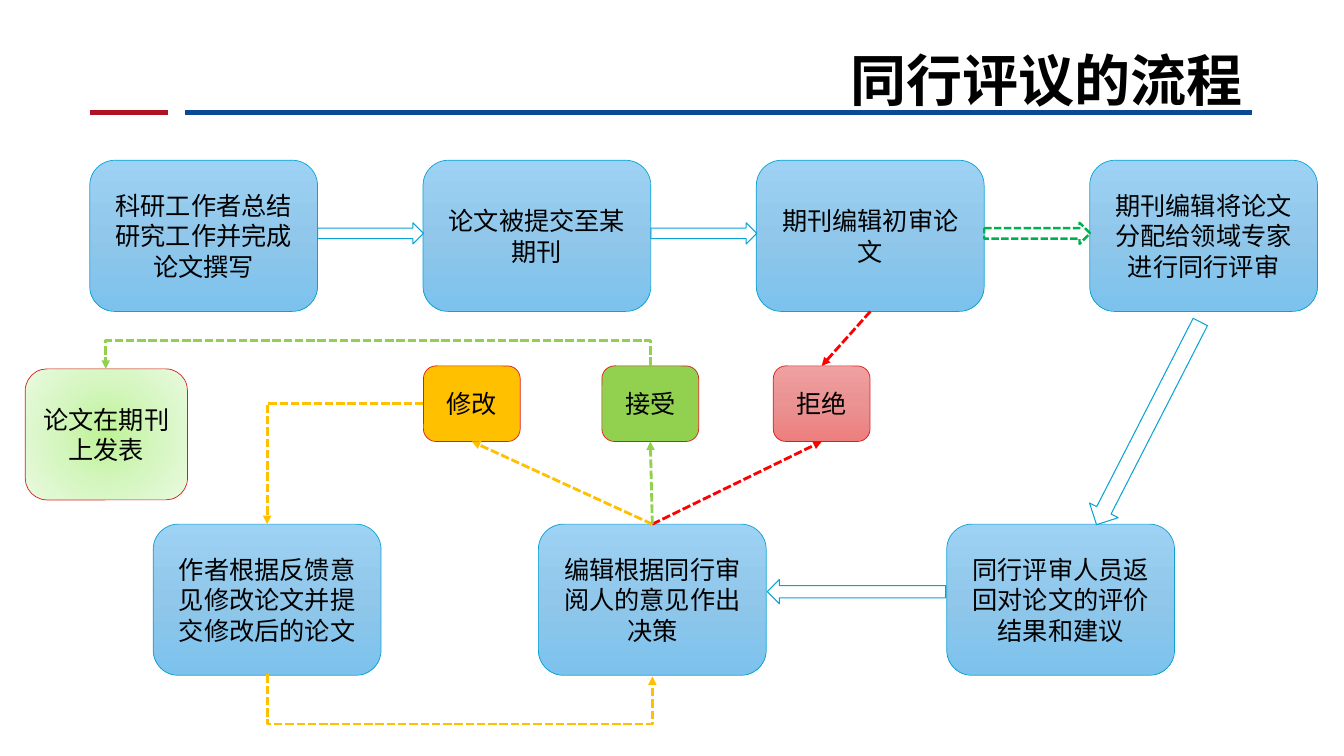
from lxml.etree import SubElement
from pptx import Presentation
from pptx.dml.color import RGBColor
from pptx.enum.dml import MSO_LINE
from pptx.enum.shapes import MSO_CONNECTOR, MSO_SHAPE
from pptx.enum.text import MSO_ANCHOR, PP_ALIGN
from pptx.oxml.ns import qn
from pptx.util import Inches, Pt

# Content
TITLE = "同行评议的流程"
BLUE = ("9DD2F4", "90C7EA", "7CC2ED")
PINK = ("EFA0A0", "EB9292", "ED7E7E")
PALE_GREEN = ("BEF297", "D5F6C0", "EAFAE0")
CYAN, RED, GREEN, AMBER = "0AA3D4", "FF0000", "92D050", "FFC000"
BORDER_RED = "DB1F1F"
STEP_W, STEP_H, STEP_GAP = 2.26, 1.5, 1.046
TOP_Y, DECISION_Y, BOTTOM_Y = 1.59, 3.63, 5.2
LEFT = 0.89

TOP_STEPS = [
    ("write", "科研工作者总结研究工作并完成论文撰写"),
    ("submit", "论文被提交至某期刊"),
    ("screen", "期刊编辑初审论文"),
    ("assign", "期刊编辑将论文分配给领域专家进行同行评审"),
]
BOTTOM_STEPS = [
    ("revise", 1.52, "作者根据反馈意见修改论文并提交修改后的论文"),
    ("decide", 5.34, "编辑根据同行审阅人的意见作出决策"),
    ("review", 9.39, "同行评审人员返回对论文的评价结果和建议"),
]
DECISIONS = [
    ("modify", 4.2, "修改", AMBER),
    ("accept", 5.97, "接受", GREEN),
    ("reject", 7.67, "拒绝", PINK),
]
RULES = [(0.89, 1.67, "AE1324"), (1.84, 12.42, "0C4994")]
# left, top, width, height, rotation, colour, line width, dash
BLOCK_ARROWS = [
    (LEFT + STEP_W + i * (STEP_W + STEP_GAP), 2.21, 1.05, 0.21, 0, *style)
    for i, style in enumerate([(CYAN, 0.75, None), (CYAN, 0.75, None),
                               ("00B050", 1.75, MSO_LINE.SQUARE_DOT)])
] + [
    (10.26, 4.04, 2.26, 0.32, 117.1, CYAN, 0.75, None),
    (7.61, 5.75, 1.77, 0.24, 180, CYAN, 0.75, None),
]
# from, side, to, side, colour (sides: 0 top, 2 bottom)
STRAIGHT = [
    ("screen", 2, "reject", 0, RED),
    ("decide", 0, "reject", 2, RED),
    ("decide", 0, "modify", 2, AMBER),
    ("decide", 0, "accept", 2, GREEN),
]
# start, end, height of the level run, colour
U_TURNS = [
    ((2.65, 6.69), (6.47, 6.71), 7.18, AMBER),
    ((6.45, 3.63), (1.05, 3.66), 3.38, GREEN),
]
CORNER = ((4.2, 4.0), (2.65, 5.2), AMBER)

prs = Presentation()
prs.slide_width, prs.slide_height = Inches(13.33), Inches(7.5)
s = prs.slides.add_slide(prs.slide_layouts[6])


def rgb(value):
    return RGBColor.from_string(value)


def set_line(sp, color, width, dash=None):
    sp.line.color.rgb = rgb(color)
    sp.line.width = Pt(width)
    if dash:
        sp.line.dash_style = dash


def set_gradient(sp, colors, circle):
    sp.fill.gradient()
    grad = sp.element.spPr.find(qn("a:gradFill"))
    for child in list(grad):
        grad.remove(child)
    stops = SubElement(grad, qn("a:gsLst"))
    for i, color in enumerate(colors):
        stop = SubElement(stops, qn("a:gs"), pos=str(i * 50000))
        SubElement(stop, qn("a:srgbClr"), val=color)
    if circle:
        shade = SubElement(grad, qn("a:path"), {"path": "circle"})
        SubElement(shade, qn("a:fillToRect"), {k: "50000" for k in "ltrb"})
    else:
        SubElement(grad, qn("a:lin"), ang="5400000", scaled="0")


def write(sp, text, align, anchor, **font):
    tf = sp.text_frame
    tf.word_wrap, tf.vertical_anchor = True, anchor
    p = tf.paragraphs[0]
    p.alignment = align
    r = p.add_run()
    r.text = text
    for name, value in font.items():
        setattr(r.font, name, value)
    r.font.color.rgb = rgb("000000")


def add_box(x, y, w, h, text, fill, border, circle=False):
    sp = s.shapes.add_shape(MSO_SHAPE.ROUNDED_RECTANGLE, *map(Inches, (x, y, w, h)))
    sp.shadow.inherit = False
    if isinstance(fill, str):
        sp.fill.solid()
        sp.fill.fore_color.rgb = rgb(fill)
    else:
        set_gradient(sp, fill, circle)
    set_line(sp, border, 0.5)
    write(sp, text, PP_ALIGN.CENTER, MSO_ANCHOR.MIDDLE, size=Pt(18), name="Arial")
    return sp


def add_line(kind, start, end, color, width, arrow=True):
    c = s.shapes.add_connector(kind, *map(Inches, (*start, *end)))
    set_line(c, color, width, MSO_LINE.SQUARE_DOT if arrow else None)
    if arrow:
        SubElement(c.line._get_or_add_ln(), qn("a:tailEnd"), type="triangle")
    SubElement(c.element.spPr, qn("a:effectLst"))
    return c


def turn(c, box, angle, **flips):
    c.left, c.top, c.width, c.height = map(Inches, box)
    xfrm = c.element.spPr.find(qn("a:xfrm"))
    for name in ("flipH", "flipV"):
        xfrm.set(name, flips.get(name, "0"))
    xfrm.set("rot", str(angle * 60000))


# Title and rules
for x1, x2, color in RULES:
    add_line(MSO_CONNECTOR.STRAIGHT, (x1, 1.12), (x2, 1.12), color, 3.5, arrow=False)
title = s.shapes.add_textbox(*map(Inches, (LEFT, 0, 11.53, 1.12)))
title.text_frame.margin_bottom = 0
write(title, TITLE, PP_ALIGN.RIGHT, MSO_ANCHOR.BOTTOM,
      size=Pt(40), name="Arial Narrow", bold=True)

# Boxes
boxes = {}
for i, (key, text) in enumerate(TOP_STEPS):
    x = LEFT + i * (STEP_W + STEP_GAP)
    boxes[key] = add_box(x, TOP_Y, STEP_W, STEP_H, text, BLUE, CYAN)
for key, x, text in BOTTOM_STEPS:
    boxes[key] = add_box(x, BOTTOM_Y, STEP_W, STEP_H, text, BLUE, CYAN)
for key, x, text, fill in DECISIONS:
    boxes[key] = add_box(x, DECISION_Y, 0.96, 0.75, text, fill, BORDER_RED)
add_box(0.25, 3.66, 1.61, 1.3, "论文在期刊上发表", PALE_GREEN, BORDER_RED, circle=True)

# Block arrows
for x, y, w, h, angle, color, width, dash in BLOCK_ARROWS:
    sp = s.shapes.add_shape(MSO_SHAPE.RIGHT_ARROW, *map(Inches, (x, y, w, h)))
    sp.shadow.inherit = False
    sp.fill.background()
    sp.rotation = angle
    set_line(sp, color, width, dash)

# Straight arrows between boxes
for source, side, target, target_side, color in STRAIGHT:
    c = add_line(MSO_CONNECTOR.STRAIGHT, (0, 0), (1, 1), color, 2)
    c.begin_connect(boxes[source], side)
    c.end_connect(boxes[target], target_side)

# Elbow arrows: U-turns are quarter-turned, so width and height swap
for (x1, y1), (x2, y2), level, color in U_TURNS:
    c = add_line(MSO_CONNECTOR.ELBOW, (x1, y1), (x2, y2), color, 2)
    w, h = y2 - y1, abs(x2 - x1)
    box = ((x1 + x2 - w) / 2, (y1 + y2 - h) / 2, w, h)
    turn(c, box, 270, flipH="1", flipV="1" if x2 < x1 else "0")
    guides = c.element.spPr.find(qn("a:prstGeom")).get_or_add_avLst()
    ratio = round((level - y1) / w * 100000)
    SubElement(guides, qn("a:gd"), name="adj1", fmla=f"val {ratio}")

(x1, y1), (x2, y2), color = CORNER
c = add_line(MSO_CONNECTOR.ELBOW, (x1, y1), (x2, y2), color, 2)
c.element.spPr.find(qn("a:prstGeom")).set("prst", "bentConnector2")
turn(c, (x2, y1, x1 - x2, y2 - y1), 180, flipV="1")

prs.save("out.pptx")
